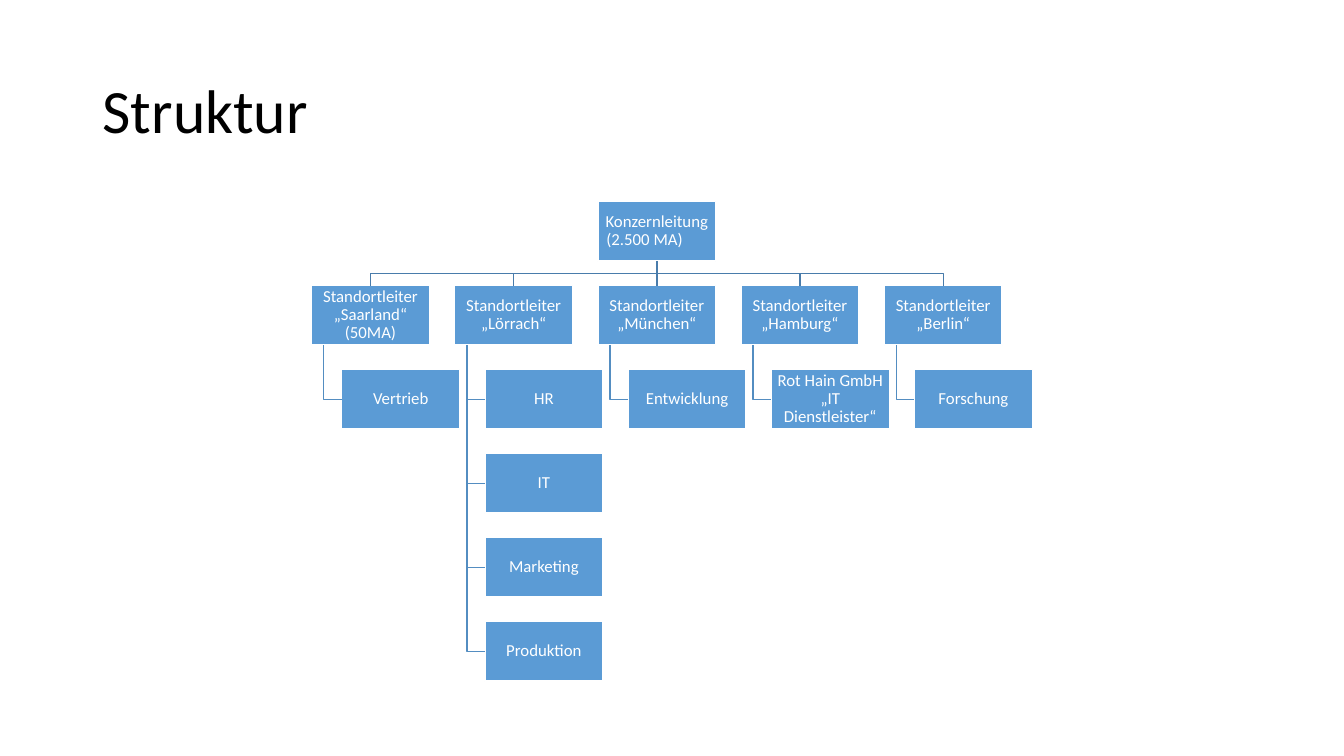
from dataclasses import dataclass

from lxml.etree import SubElement
from pptx import Presentation
from pptx.dml.color import RGBColor
from pptx.enum.shapes import MSO_CONNECTOR, MSO_SHAPE
from pptx.enum.text import MSO_ANCHOR as Anchor, PP_ALIGN as Align
from pptx.oxml.ns import qn
from pptx.shapes.autoshape import Shape
from pptx.shapes.base import BaseShape
from pptx.slide import Slide
from pptx.text.text import TextFrame
from pptx.util import Inches, Pt


@dataclass(frozen=True)
class Theme:
    font: str = "Calibri"
    title_size: int = 44
    box_size: int = 12
    line_width: int = 1
    title: str = "000000"
    box: str = "5B9BD5"
    light: str = "FFFFFF"
    trunk: str = "497CAB"
    branch: str = "538DC1"


@dataclass(frozen=True)
class Grid:
    """Chart grid in inches; rows are a ninth of the slide height apart."""
    slide_width: float = 13.33
    slide_height: float = 7.5
    left: float = 3.09
    top: float = 2.0
    column_step: float = 1.42
    row_step: float = 7.5 / 9
    box_width: float = 1.17
    box_height: float = 0.59
    unit_indent: float = 0.3
    stem_indent: float = 0.12

    def x(self, column: int) -> float:
        return self.left + column * self.column_step

    def y(self, row: int) -> float:
        return self.top + row * self.row_step


@dataclass(frozen=True)
class Site:
    label: str
    units: tuple[str, ...]


THEME = Theme()
GRID = Grid()
HEAD_COLUMN = 2
HEAD_LABEL = "Konzernleitung (2.500 MA)\t"
SITES = (
    Site("Standortleiter „Saarland“ (50MA)", ("Vertrieb",)),
    Site("Standortleiter „Lörrach“", ("HR", "IT", "Marketing", "Produktion")),
    Site("Standortleiter „München“", ("Entwicklung",)),
    Site("Standortleiter „Hamburg“", ("Rot Hain GmbH\n„IT Dienstleister“",)),
    Site("Standortleiter „Berlin“", ("Forschung",)),
)


def write_text(frame: TextFrame, text: str, size: int, color: str, align: Align) -> None:
    frame.word_wrap = True
    frame.vertical_anchor = Anchor.MIDDLE
    paragraph = frame.paragraphs[0]
    paragraph.alignment = align
    paragraph.line_spacing = 0.9
    for index, line in enumerate(text.split("\n")):
        if index:
            paragraph.add_line_break()
        run = paragraph.add_run()
        run.text = line
        run.font.name = THEME.font
        run.font.size = Pt(size)
        run.font.color.rgb = RGBColor.from_string(color)


def style_line(shape: BaseShape, color: str) -> None:
    shape.line.color.rgb = RGBColor.from_string(color)
    shape.line.width = Pt(THEME.line_width)


def add_title(slide: Slide, text: str) -> None:
    box = slide.shapes.add_textbox(Inches(0.92), Inches(0.4), Inches(11.5), Inches(1.45))
    write_text(box.text_frame, text, THEME.title_size, THEME.title, Align.LEFT)


def add_box(slide: Slide, label: str, left: float, top: float) -> Shape:
    shape = slide.shapes.add_shape(
        MSO_SHAPE.RECTANGLE, Inches(left), Inches(top),
        Inches(GRID.box_width), Inches(GRID.box_height))
    shape.shadow.inherit = False
    shape.fill.solid()
    shape.fill.fore_color.rgb = RGBColor.from_string(THEME.box)
    style_line(shape, THEME.light)
    frame = shape.text_frame
    frame.margin_left = frame.margin_right = Inches(0.01)
    frame.margin_top = frame.margin_bottom = Inches(0.01)
    write_text(frame, label, THEME.box_size, THEME.light, Align.CENTER)
    return shape


def add_polyline(slide: Slide, points: list[tuple[int, int]], color: str) -> None:
    builder = slide.shapes.build_freeform(*points[0], scale=1.0)
    builder.add_line_segments(points[1:], close=False)
    shape = builder.convert_to_shape()
    shape.shadow.inherit = False
    shape.fill.background()
    style_line(shape, color)


def link_site(slide: Slide, head: Shape, site: Shape) -> None:
    """Join the head to a site, straight if the site is right below it."""
    start_x, start_y = head.left + head.width // 2, head.top + head.height
    end_x, end_y = site.left + site.width // 2, site.top
    if start_x == end_x:
        line = slide.shapes.add_connector(
            MSO_CONNECTOR.STRAIGHT, start_x, start_y, end_x, end_y)
        line.begin_connect(head, 2)
        line.end_connect(site, 0)
        style_line(line, THEME.trunk)
        SubElement(line._element.spPr, qn("a:effectLst"))
        return
    middle = (start_y + end_y) // 2
    add_polyline(slide, [(start_x, start_y), (start_x, middle),
                         (end_x, middle), (end_x, end_y)], THEME.trunk)


def link_unit(slide: Slide, site: Shape, unit: Shape) -> None:
    stem_x = site.left + Inches(GRID.stem_indent)
    middle = unit.top + unit.height // 2
    add_polyline(slide, [(stem_x, site.top + site.height), (stem_x, middle),
                         (unit.left, middle)], THEME.branch)


def add_chart_tree(slide: Slide) -> None:
    head = add_box(slide, HEAD_LABEL, GRID.x(HEAD_COLUMN), GRID.y(0))
    for column, site in enumerate(SITES):
        site_box = add_box(slide, site.label, GRID.x(column), GRID.y(1))
        link_site(slide, head, site_box)
        for row, label in enumerate(site.units, start=2):
            unit_box = add_box(slide, label, GRID.x(column) + GRID.unit_indent, GRID.y(row))
            link_unit(slide, site_box, unit_box)


def main() -> None:
    presentation = Presentation()
    presentation.slide_width = Inches(GRID.slide_width)
    presentation.slide_height = Inches(GRID.slide_height)
    slide = presentation.slides.add_slide(presentation.slide_layouts[6])
    add_title(slide, "Struktur")
    add_chart_tree(slide)
    presentation.save("out.pptx")


if __name__ == "__main__":
    main()
